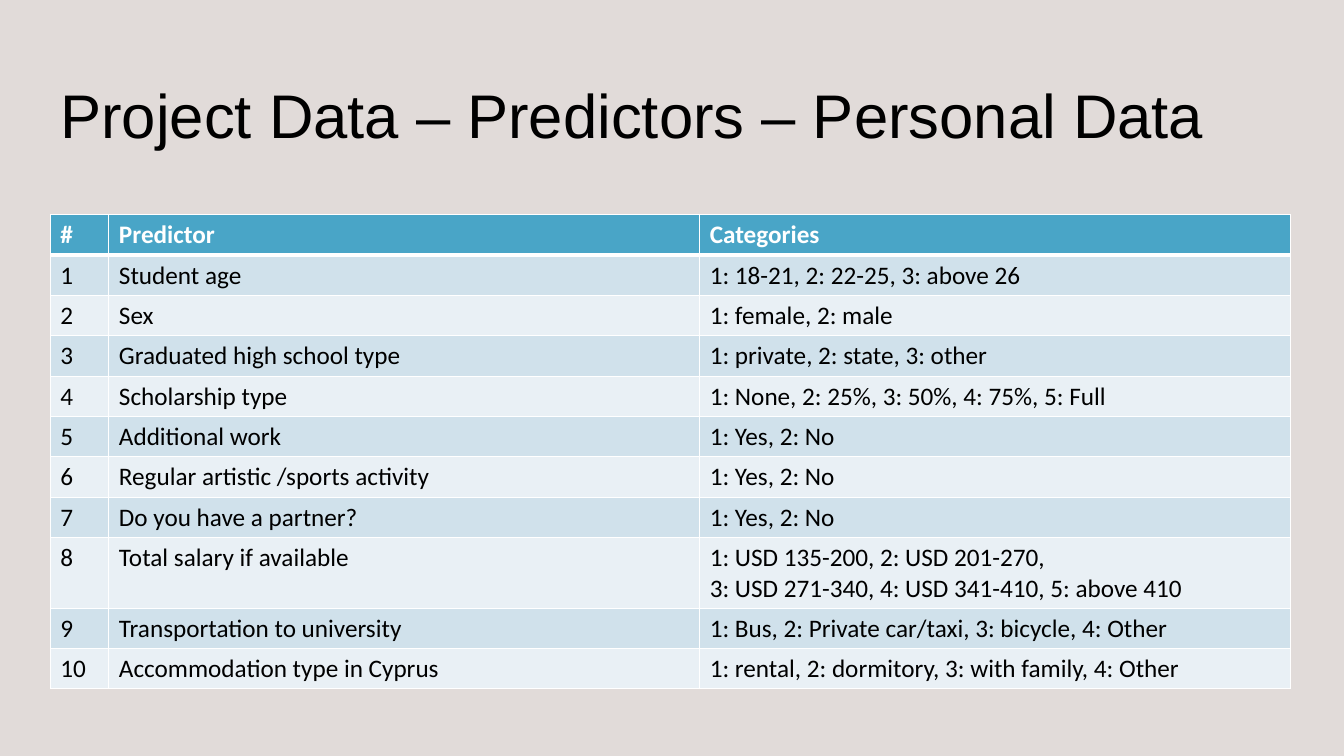
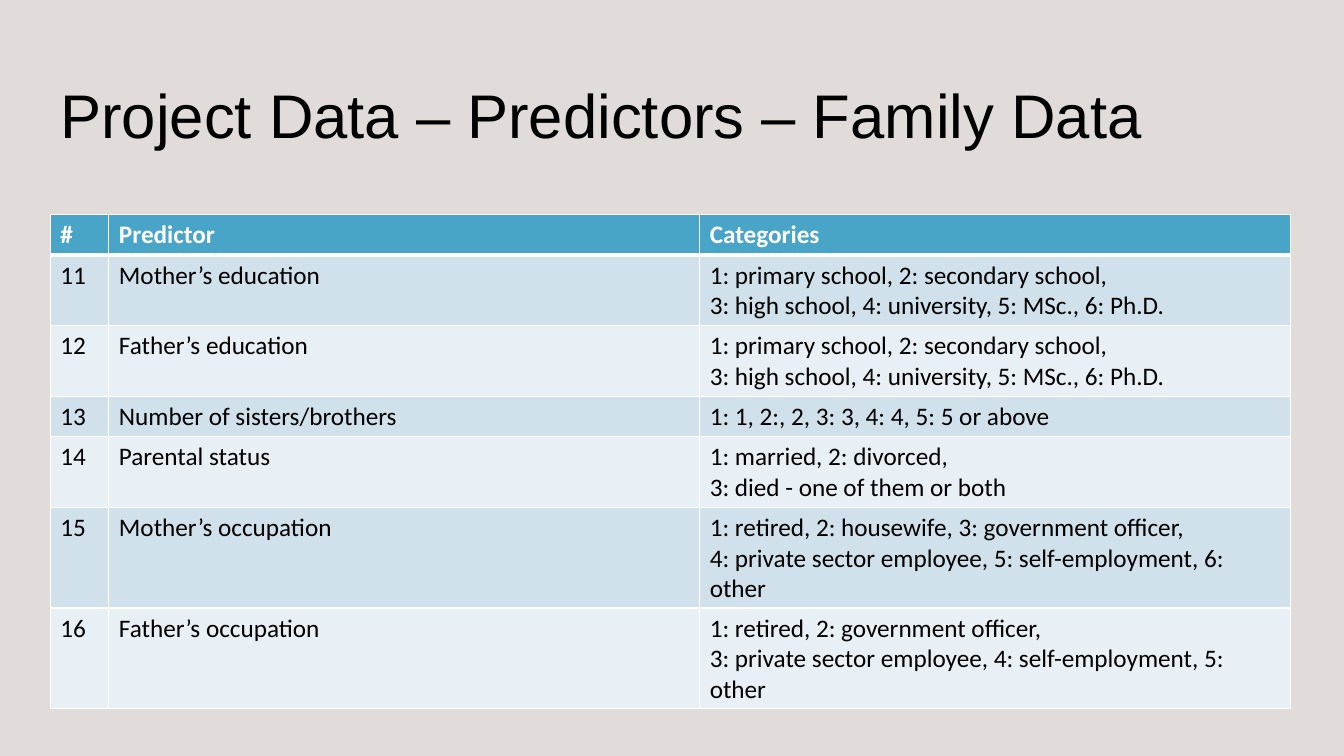
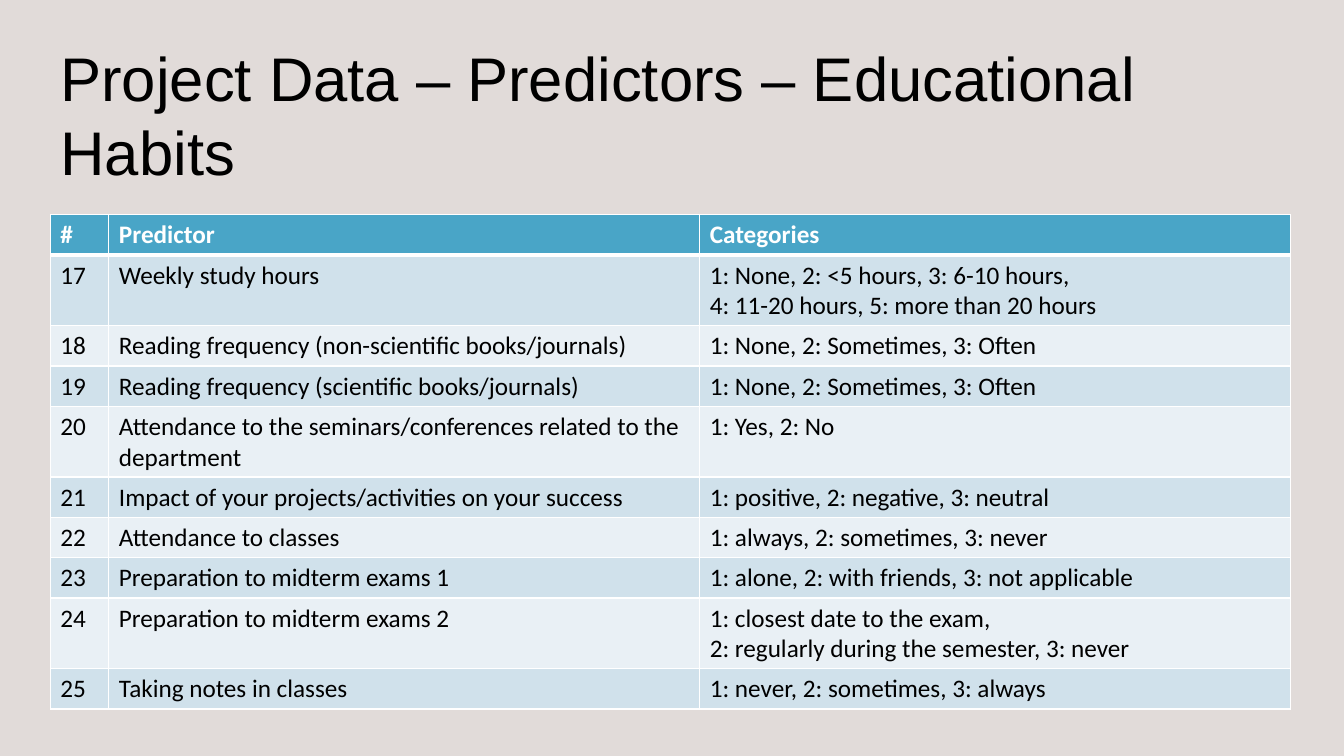
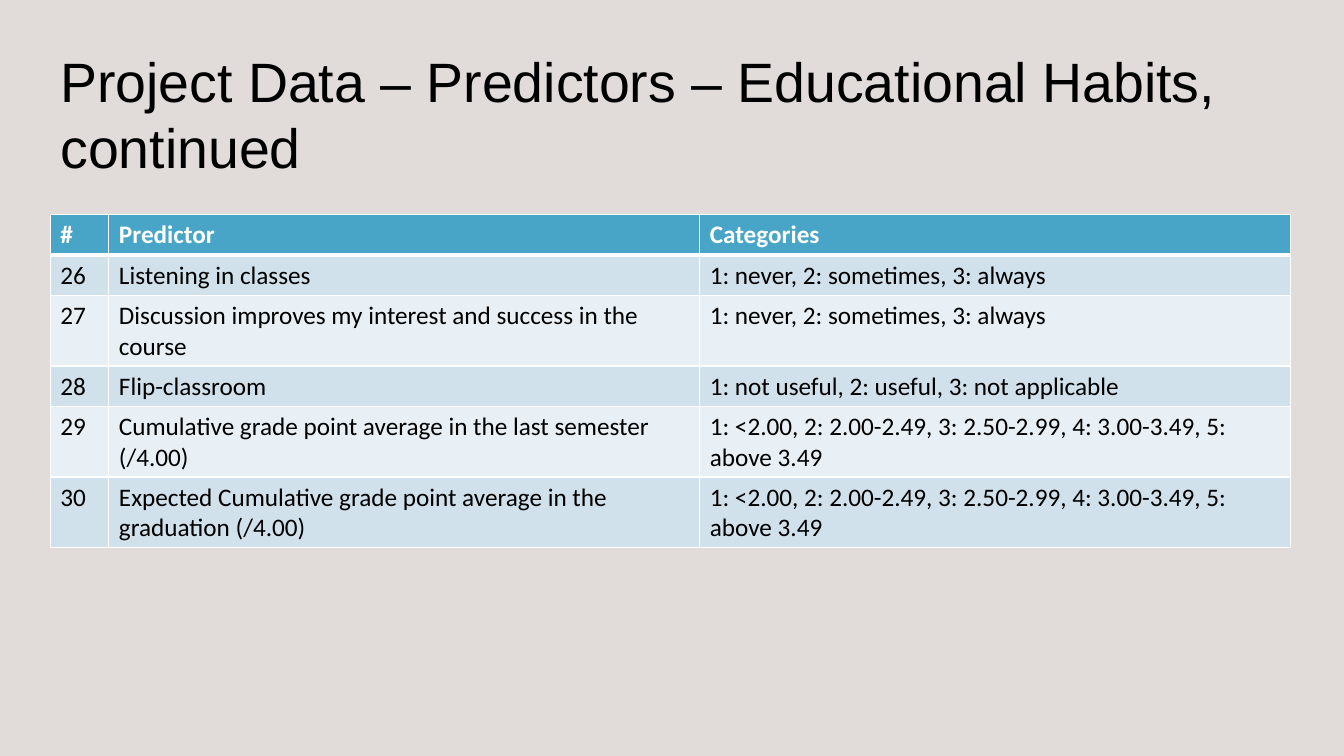
from pptx import Presentation, util as u
from pptx.dml.color import RGBColor
from pptx.enum import text
from pptx.oxml import parse_xml
from pptx.oxml.ns import nsdecls

PX = 9144

BACKDROP = RGBColor(0xE1, 0xDB, 0xD9)
BLACK = RGBColor(0x00, 0x00, 0x00)
WHITE = RGBColor(0xFF, 0xFF, 0xFF)
HEADER = RGBColor(0x49, 0xA5, 0xC7)
BANDS = (RGBColor(0xE9, 0xF0, 0xF5), RGBColor(0xD0, 0xE1, 0xEB))

TITLE_FONT = "Arial"
BODY_FONT = "Calibri"

YES_NO = "1: Yes, 2: No"
READING = "1: None, 2: Sometimes, 3: Often"
NEVER_ALWAYS = "1: never, 2: sometimes, 3: always"
SCHOOLING = ("1: primary school, 2: secondary school,\n"
             "3: high school, 4: university, 5: MSc., 6: Ph.D.")
GRADES = "1: <2.00, 2: 2.00-2.49, 3: 2.50-2.99, 4: 3.00-3.49, 5: above 3.49"

PERSONAL = [
    ("Student age", "1: 18-21, 2: 22-25, 3: above 26"),
    ("Sex", "1: female, 2: male"),
    ("Graduated high school type", "1: private, 2: state, 3: other"),
    ("Scholarship type", "1: None, 2: 25%, 3: 50%, 4: 75%, 5: Full"),
    ("Additional work", YES_NO),
    ("Regular artistic /sports activity", YES_NO),
    ("Do you have a partner?", YES_NO),
    ("Total salary if available",
     "1: USD 135-200, 2: USD 201-270,\n"
     "3: USD 271-340, 4: USD 341-410, 5: above 410"),
    ("Transportation to university",
     "1: Bus, 2: Private car/taxi, 3: bicycle, 4: Other"),
    ("Accommodation type in Cyprus",
     "1: rental, 2: dormitory, 3: with family, 4: Other"),
]
FAMILY = [
    ("Mother’s education", SCHOOLING),
    ("Father’s education", SCHOOLING),
    ("Number of sisters/brothers", "1: 1, 2:, 2, 3: 3, 4: 4, 5: 5 or above"),
    ("Parental status",
     "1: married, 2: divorced,\n3: died - one of them or both"),
    ("Mother’s occupation",
     "1: retired, 2: housewife, 3: government officer,\n"
     "4: private sector employee, 5: self-employment, 6: other"),
    ("Father’s occupation",
     "1: retired, 2: government officer,\n"
     "3: private sector employee, 4: self-employment, 5: other"),
]
HABITS = [
    ("Weekly study hours",
     "1: None, 2: <5 hours, 3: 6-10 hours,\n"
     "4: 11-20 hours, 5: more than 20 hours"),
    ("Reading frequency (non-scientific books/journals)", READING),
    ("Reading frequency (scientific books/journals)", READING),
    ("Attendance to the seminars/conferences related to the department",
     YES_NO),
    ("Impact of your projects/activities on your success",
     "1: positive, 2: negative, 3: neutral"),
    ("Attendance to classes", "1: always, 2: sometimes, 3: never"),
    ("Preparation to midterm exams 1",
     "1: alone, 2: with friends, 3: not applicable"),
    ("Preparation to midterm exams 2",
     "1: closest date to the exam,\n"
     "2: regularly during the semester, 3: never"),
    ("Taking notes in classes", NEVER_ALWAYS),
]
HABITS_CONTINUED = [
    ("Listening in classes", NEVER_ALWAYS),
    ("Discussion improves my interest and success in the course",
     NEVER_ALWAYS),
    ("Flip-classroom", "1: not useful, 2: useful, 3: not applicable"),
    ("Cumulative grade point average in the last semester (/4.00)", GRADES),
    ("Expected Cumulative grade point average in the graduation (/4.00)",
     GRADES),
]
SECTIONS = [
    ("Personal Data", PERSONAL, 1192, 44),
    ("Family Data", FAMILY, 1192, 44),
    ("Educational Habits", HABITS, 1229, 44),
    ("Educational Habits, continued", HABITS_CONTINUED, 1229, 39.6),
]


def write(tf, content, font=BODY_FONT, size=18, color=BLACK, bold=False):
    p = tf.paragraphs[0]
    p.text = content
    for r in p.runs:
        r.font.name = font
        r.font.size = u.Pt(size)
        r.font.bold = bold
        r.font.color.rgb = color


def set_borders(cell, **widths):
    tc_pr = cell._tc.get_or_add_tcPr()
    for side in "LRTB":
        width = u.Pt(widths.get(side, 1))
        tc_pr.append(parse_xml(
            f'<a:ln{side} {nsdecls("a")} w="{width}"><a:solidFill>'
            f'<a:srgbClr val="{WHITE}"/></a:solidFill></a:ln{side}>'))


class Deck:
    left = 50
    columns = (58, 586, 586)
    row_height = 40

    def __init__(self):
        self.prs = Presentation()
        self.prs.slide_width = u.Emu(1333 * PX)
        self.prs.slide_height = u.Emu(750 * PX)
        fill = self.prs.slide_master.background.fill
        fill.solid()
        fill.fore_color.rgb = BACKDROP

    def new_slide(self):
        self.s = self.prs.slides.add_slide(self.prs.slide_layouts[6])

    def title(self, content, width, size):
        box = self.s.shapes.add_textbox(
            self.left * PX, 40 * PX, width * PX, 145 * PX)
        tf = box.text_frame
        tf.word_wrap = True
        tf.vertical_anchor = text.MSO_ANCHOR.MIDDLE
        write(tf, content, font=TITLE_FONT, size=size)

    def cell(self, cell, content, row):
        header = row == 0
        borders = {0: {"B": 3}, 1: {"T": 3}}.get(row, {})
        set_borders(cell, **borders)
        cell.fill.solid()
        cell.fill.fore_color.rgb = HEADER if header else BANDS[row % 2]
        write(cell.text_frame, content,
              color=WHITE if header else BLACK, bold=header)

    def table(self, rows, first):
        lines = [("#", "Predictor", "Categories")]
        lines += [(str(n), *row) for n, row in enumerate(rows, first)]
        table = self.s.shapes.add_table(
            len(lines), len(self.columns), self.left * PX, 213 * PX,
            sum(self.columns) * PX, len(lines) * self.row_height * PX).table
        table.horz_banding = False
        for column, width in zip(table.columns, self.columns):
            column.width = u.Emu(width * PX)
        for i, line in enumerate(lines):
            for j, content in enumerate(line):
                self.cell(table.cell(i, j), content, i)


def main():
    deck = Deck()
    first = 1
    for topic, rows, width, size in SECTIONS:
        deck.new_slide()
        deck.title(f"Project Data – Predictors – {topic}", width, size)
        deck.table(rows, first)
        first += len(rows)
    deck.prs.save("out.pptx")


if __name__ == "__main__":
    main()
